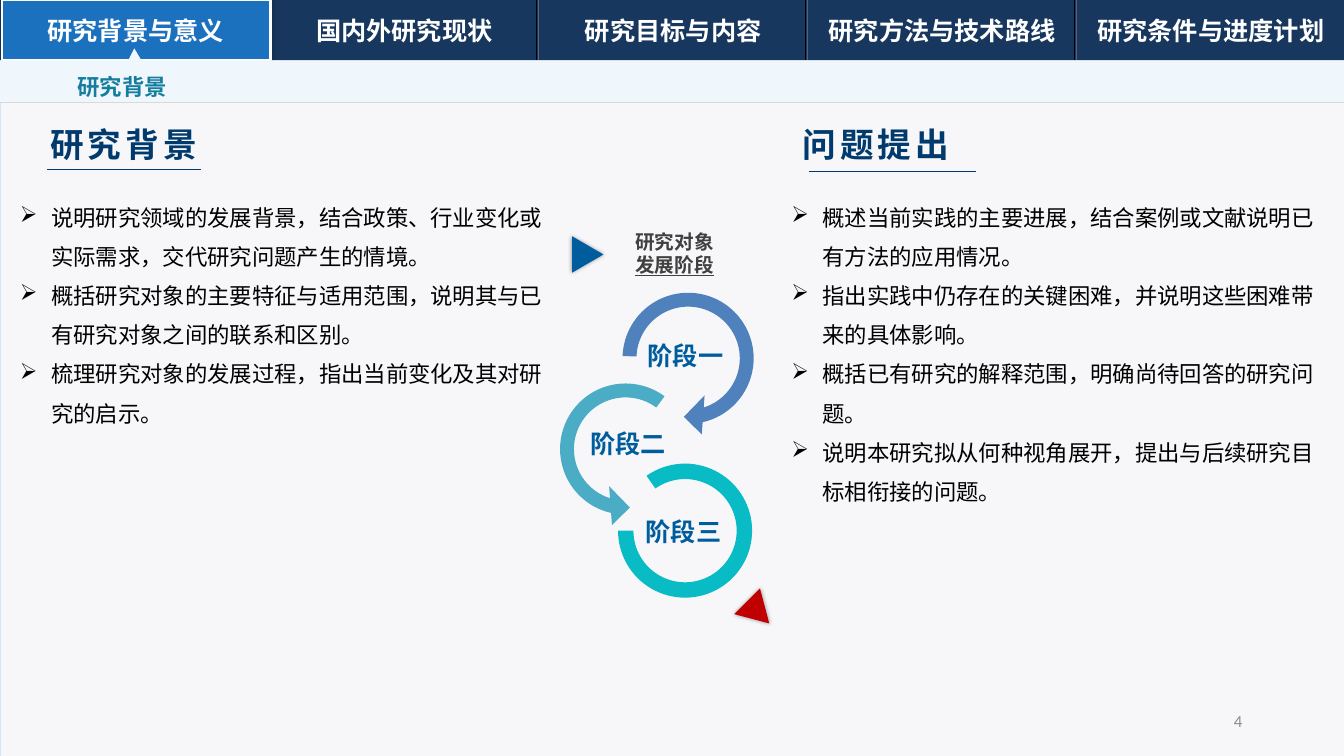
from lxml.etree import SubElement
from pptx import Presentation
from pptx.dml.color import RGBColor
from pptx.enum.shapes import MSO_CONNECTOR, MSO_SHAPE
from pptx.enum.text import MSO_ANCHOR as ANCHOR, PP_ALIGN as ALIGN
from pptx.oxml.ns import qn
from pptx.util import Inches, Pt

COLORS = {
    "navy": "17375E", "active": "1C71BE", "white": "FFFFFF", "black": "000000",
    "divider": "596181", "panel": "F7F7F9", "panel_edge": "D4E7F9",
    "band": "EFF6FC", "rule": "D9D9D9", "teal": "157E9F", "heading": "013B6D",
    "stage": "005D9D", "caption": "404040", "number": "8C8C8C",
    "arrow_blue": "4F81BD", "arrow_aqua": "4BACC6", "ring": "08BBC4", "red": "C00000",
}
CJK = "Noto Sans CJK SC"
WIDTH, HEIGHT, NAV_HEIGHT, BAND_BOTTOM = 13.33, 7.5, 0.6, 1.02
TABS = ["研究背景与意义", "国内外研究现状", "研究目标与内容", "研究方法与技术路线", "研究条件与进度计划"]
BACKGROUND = [
    "说明研究领域的发展背景，结合政策、行业变化或实际需求，交代研究问题产生的情境。",
    "概括研究对象的主要特征与适用范围，说明其与已有研究对象之间的联系和区别。",
    "梳理研究对象的发展过程，指出当前变化及其对研究的启示。",
]
QUESTIONS = [
    "概述当前实践的主要进展，结合案例或文献说明已有方法的应用情况。",
    "指出实践中仍存在的关键困难，并说明这些困难带来的具体影响。",
    "概括已有研究的解释范围，明确尚待回答的研究问题。",
    "说明本研究拟从何种视角展开，提出与后续研究目标相衔接的问题。",
]


def rgb(name):
    return RGBColor.from_string(COLORS[name])


def add_text(slide, box, lines, size=18, color="black", bold=False, font=CJK,
             align=ALIGN.LEFT, anchor=ANCHOR.TOP, wrap=True, spacing=None,
             tracking=0, bullet=None, underlined=()):
    frame = slide.shapes.add_textbox(*map(Inches, box)).text_frame
    frame.word_wrap = wrap
    frame.vertical_anchor = anchor
    for index, line in enumerate(lines):
        paragraph = frame.paragraphs[0] if index == 0 else frame.add_paragraph()
        paragraph.alignment = align
        if spacing:
            paragraph.line_spacing = spacing
        if bullet:
            properties = paragraph._p.get_or_add_pPr()
            properties.set("marL", str(Inches(0.31)))
            properties.set("indent", str(-Inches(0.31)))
            SubElement(properties, qn("a:buChar")).set("char", bullet)
        run = paragraph.add_run()
        run.text = line
        run.font.size = Pt(size)
        run.font.bold = bold
        run.font.name = font
        run.font.color.rgb = rgb(color)
        if line in underlined:
            run.font.underline = True
        character = run._r.get_or_add_rPr()
        if tracking:
            character.set("spc", str(tracking * 100))
        SubElement(character, qn("a:ea")).set("typeface", font)


def paint(shape, fill, edge=None, edge_width=0.5, glow=None):
    shape.shadow.inherit = False
    shape.fill.solid()
    shape.fill.fore_color.rgb = rgb(fill)
    if edge:
        shape.line.color.rgb = rgb(edge)
        shape.line.width = Pt(edge_width)
    else:
        shape.line.fill.background()
    if glow:
        effects = shape._element.spPr.find(qn("a:effectLst"))
        shadow = SubElement(effects, qn("a:outerShdw"), blurRad=str(Pt(3)), dist="0",
                            dir="0", algn="ctr", rotWithShape="0")
        tint = SubElement(shadow, qn("a:srgbClr"), val=COLORS["black"])
        SubElement(tint, qn("a:alpha"), val=str(glow * 1000))


def add_shape(slide, kind, box, fill, adjustments=(), flip=False, rotation=0, **style):
    shape = slide.shapes.add_shape(kind, *map(Inches, box))
    for index, value in enumerate(adjustments):
        shape.adjustments[index] = value
    if flip:
        shape._element.spPr.xfrm.set("flipH", "1")
    shape.rotation = rotation
    paint(shape, fill, **style)


def add_line(slide, start, end, color, width):
    line = slide.shapes.add_connector(MSO_CONNECTOR.STRAIGHT, *map(Inches, start + end))
    line.line.color.rgb = rgb(color)
    line.line.width = Pt(width)
    SubElement(line._element.spPr, qn("a:effectLst"))


def add_navigation(slide, box, tabs):
    left, top, width, height = box
    step = width / len(tabs)
    add_shape(slide, MSO_SHAPE.RECTANGLE, box, "navy")
    for index in range(1, len(tabs)):
        x = left + index * step
        for offset, color, weight in ((-0.01, "black", 0.5), (0.01, "divider", 0.75)):
            add_line(slide, (x + offset, top), (x + offset, top + height), color, weight)
    add_shape(slide, MSO_SHAPE.RECTANGLE, (left + 0.02, top, step, height), "active",
              edge="white", edge_width=2, glow=20)
    for index, tab in enumerate(tabs):
        add_text(slide, (left + 0.02 + index * step, top + 0.1, 2.65, 0.41), [tab],
                 color="white", bold=True, align=ALIGN.CENTER, anchor=ANCHOR.MIDDLE)


def add_section_band(slide, box, title):
    left, top, width, height = box
    right, bottom, notch = left + width, top + height, left + width / 10
    outline = [(notch + 0.07, top), (right, top), (right, bottom),
               (left, bottom), (left, top), (notch - 0.06, top)]
    builder = slide.shapes.build_freeform(Inches(notch), Inches(top - 0.12))
    builder.add_line_segments([(Inches(x), Inches(y)) for x, y in outline])
    paint(builder.convert_to_shape(), "band")
    add_line(slide, (left, bottom), (right, bottom), "rule", 0.5)
    add_text(slide, (left + 0.67, top - 0.04, 1.32, 0.46), [title], size=16, color="teal",
             bold=True, anchor=ANCHOR.MIDDLE, wrap=False, spacing=1.5)


def add_column(slide, box, title, title_left, rule, points):
    left, top, width, height = box
    rule_left, rule_right, rule_top = rule
    add_text(slide, (left + title_left, top, 2.56, 0.5), [title], size=24,
             color="heading", bold=True, tracking=3)
    add_line(slide, (left + rule_left, top + rule_top), (left + rule_right, top + rule_top),
             "heading", 0.25)
    add_text(slide, (left, top + 0.67, width, height - 0.67), points, size=16,
             spacing=Pt(28), bullet="➢")


def add_stages(slide, box):
    left, top = box[:2]
    arrow, arc = MSO_SHAPE.LEFT_CIRCULAR_ARROW, MSO_SHAPE.BLOCK_ARC
    rings = [
        (arrow, 0.62, 0.55, 1.55, "arrow_blue", (0.089, 11.423, 62.936, 214.797, 0.125), True),
        (arrow, 0, 1.45, 1.55, "arrow_aqua", (0.089, 11.423, 62.936, 183.859, 0.125), False),
        (arc, 0.7, 2.37, 1.33, "ring", (140.954, 108, 0.115), False),
    ]
    for kind, x, y, size, color, adjustments, flip in rings:
        add_shape(slide, kind, (left + x, top + y, size, size), color,
                  adjustments=adjustments, flip=flip)
    for name, x, y in (("阶段一", 0.89, 1.1), ("阶段二", 0.32, 1.97), ("阶段三", 0.87, 2.84)):
        add_text(slide, (left + x, top + y, 0.96, 0.4), [name], color="stage",
                 bold=True, align=ALIGN.CENTER)
    for x, y, color, angle in ((0.22, 0.14, "stage", 90), (1.91, 3.69, "red", 135)):
        add_shape(slide, MSO_SHAPE.ISOSCELES_TRIANGLE, (left + x, top + y, 0.36, 0.31),
                  color, rotation=angle, glow=40)
    add_text(slide, (left + 0.57, top, 1.38, 0.57), ["研究对象", "发展阶段"], size=14,
             color="caption", bold=True, align=ALIGN.CENTER, wrap=False,
             underlined=("发展阶段",))


def add_page_number(slide, box, number):
    add_text(slide, box, [number], size=12, color="number", font="Calibri",
             align=ALIGN.RIGHT, anchor=ANCHOR.MIDDLE)


def main():
    deck = Presentation()
    deck.slide_width, deck.slide_height = Inches(WIDTH), Inches(HEIGHT)
    slide = deck.slides.add_slide(deck.slide_layouts[6])
    add_shape(slide, MSO_SHAPE.RECTANGLE, (0, BAND_BOTTOM, WIDTH, HEIGHT - BAND_BOTTOM),
              "panel", edge="panel_edge")
    add_navigation(slide, (0, 0, WIDTH, NAV_HEIGHT), TABS)
    add_section_band(slide, (0, NAV_HEIGHT, WIDTH, BAND_BOTTOM - NAV_HEIGHT), "研究背景")
    add_stages(slide, (5.43, 2.23, 2.27, 4))
    add_column(slide, (7.75, 1.18, 5.45, 5.83), "问题提出", 0.11, (0.27, 1.93, 0.52), QUESTIONS)
    add_column(slide, (0.1, 1.18, 5.43, 5.83), "研究背景", 0.3, (0.37, 1.89, 0.5), BACKGROUND)
    add_page_number(slide, (9.42, 6.95, 3, 0.4), "4")
    deck.save("out.pptx")


if __name__ == "__main__":
    main()
